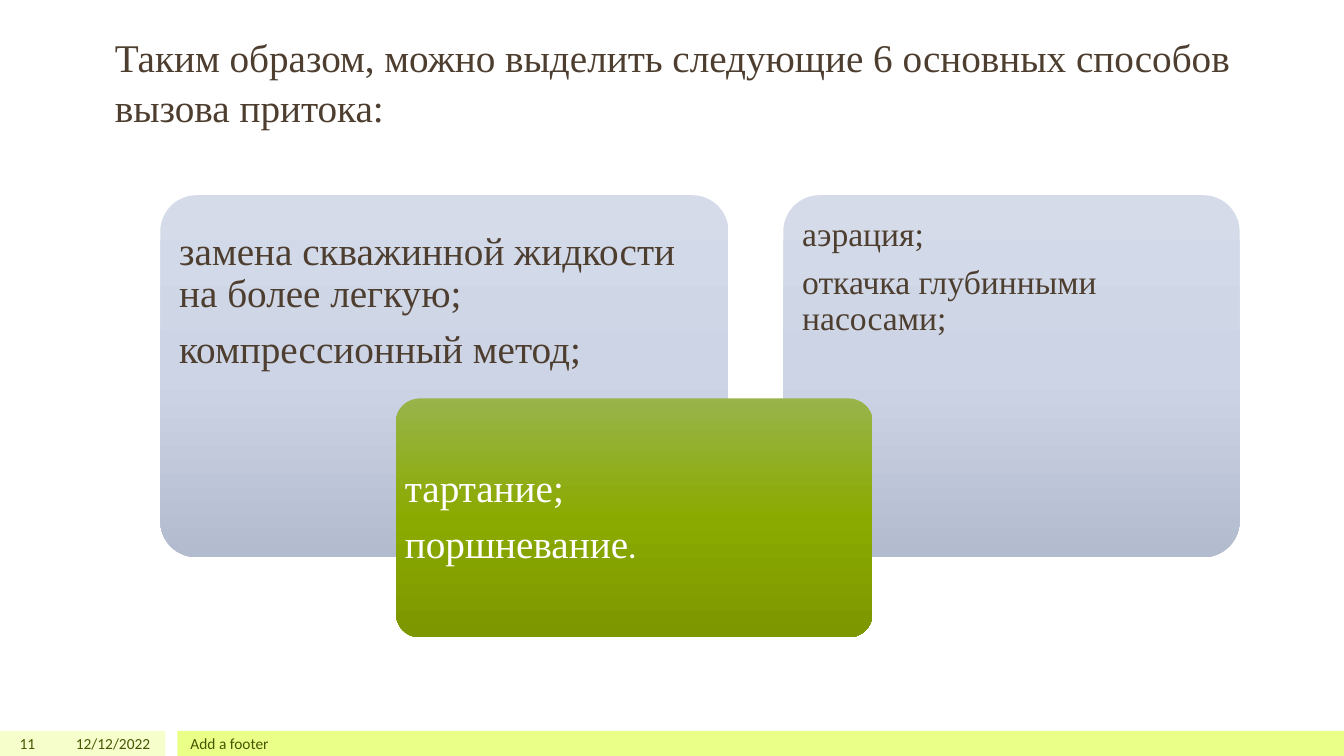
from copy import deepcopy
from dataclasses import dataclass

from pptx import Presentation
from pptx.dml.color import RGBColor
from pptx.enum.shapes import MSO_SHAPE
from pptx.enum.text import MSO_ANCHOR, MSO_AUTO_SIZE, PP_ALIGN
from pptx.oxml.ns import qn
from pptx.shapes.autoshape import Shape
from pptx.slide import Slide
from pptx.text.text import TextFrame, _Paragraph
from pptx.util import Cm, Pt


@dataclass(frozen=True)
class Theme:
    serif: str = "Times New Roman"
    sans: str = "Calibri"
    brown: str = "4D3E2F"
    white: str = "FFFFFF"
    olive: str = "455500"
    pale_lime: str = "F6FFCC"
    lime: str = "E9FF88"
    blue_gradient: tuple[str, ...] = ("D5DBE9", "CCD4E5", "B3BBCE")
    green_gradient: tuple[str, ...] = ("98B44B", "8BAA00", "7C9700")
    large: int = 28
    medium: int = 24
    small: int = 11


THEME = Theme()


@dataclass(frozen=True)
class Box:
    left: float
    top: float
    width: float
    height: float

    def lengths(self) -> tuple[Cm, ...]:
        return Cm(self.left), Cm(self.top), Cm(self.width), Cm(self.height)


@dataclass(frozen=True)
class TextRun:
    text: str
    size: int
    color: str
    font: str = THEME.serif


@dataclass(frozen=True)
class Card:
    box: Box
    gradient: tuple[str, ...]
    side_inset: float
    top_inset: float
    anchor: MSO_ANCHOR
    paragraphs: tuple[tuple[TextRun, ...], ...]


@dataclass(frozen=True)
class FooterText:
    box: Box
    text: str
    alignment: PP_ALIGN


BAR_TOP, BAR_HEIGHT = 18.42, 0.63
BARS = (
    (Box(0, BAR_TOP, 4.17, BAR_HEIGHT), THEME.pale_lime),
    (Box(4.47, BAR_TOP, 29.4, BAR_HEIGHT), THEME.lime),
)
FOOTER_TEXTS = (
    FooterText(Box(0, BAR_TOP, 1.14, BAR_HEIGHT), "11", PP_ALIGN.RIGHT),
    FooterText(Box(1.27, BAR_TOP, 2.77, BAR_HEIGHT), "12/12/2022", PP_ALIGN.RIGHT),
    FooterText(Box(4.55, BAR_TOP, 25.4, BAR_HEIGHT), "Add a footer", PP_ALIGN.LEFT),
)
TITLE = "Таким образом, можно выделить следующие 6 основных способов вызова притока:"
CARDS = (
    Card(
        Box(19.74, 4.92, 11.5, 9.12), THEME.blue_gradient, 0.21, 0.29, MSO_ANCHOR.TOP,
        (
            (TextRun("аэрация;", THEME.medium, THEME.brown),),
            (TextRun("откачка глубинными насосами;", THEME.medium, THEME.brown),),
        ),
    ),
    Card(
        Box(4.04, 4.92, 14.32, 9.12), THEME.blue_gradient, 0.21, 0.64, MSO_ANCHOR.TOP,
        (
            (TextRun("замена скважинной жидкости на более легкую;", THEME.large, THEME.brown),),
            (TextRun("компрессионный метод;", THEME.large, THEME.brown),),
        ),
    ),
    Card(
        Box(9.98, 10.04, 12.01, 6.02), THEME.green_gradient, 0.05, 0.05, MSO_ANCHOR.MIDDLE,
        (
            (TextRun("тартание;", THEME.large, THEME.white),),
            (
                TextRun("поршневание", THEME.large, THEME.white),
                TextRun(".", THEME.medium, THEME.white, THEME.sans),
            ),
        ),
    ),
)


def add_run(paragraph: _Paragraph, content: TextRun) -> None:
    run = paragraph.add_run()
    run.text = content.text
    run.font.name = content.font
    run.font.size = Pt(content.size)
    run.font.color.rgb = RGBColor.from_string(content.color)


def add_plain_shape(slide: Slide, kind: MSO_SHAPE, box: Box) -> Shape:
    shape = slide.shapes.add_shape(kind, *box.lengths())
    shape.shadow.inherit = False
    shape.line.fill.background()
    return shape


def add_bar(slide: Slide, box: Box, color: str) -> None:
    shape = add_plain_shape(slide, MSO_SHAPE.RECTANGLE, box)
    shape.fill.solid()
    shape.fill.fore_color.rgb = RGBColor.from_string(color)


def fill_gradient(shape: Shape, colors: tuple[str, ...]) -> None:
    shape.fill.gradient()
    shape.fill.gradient_angle = 270
    stop_list = shape.element.spPr.find(qn("a:gradFill")).find(qn("a:gsLst"))
    stop_list.insert(1, deepcopy(stop_list[0]))
    for index, (stop, color) in enumerate(zip(shape.fill.gradient_stops, colors)):
        stop.color.rgb = RGBColor.from_string(color)
        stop.position = index / (len(colors) - 1)


def set_insets(frame: TextFrame, side: float, top: float) -> None:
    frame.margin_left = frame.margin_right = Cm(side)
    frame.margin_top = frame.margin_bottom = Cm(top)


def add_card(slide: Slide, card: Card) -> None:
    shape = add_plain_shape(slide, MSO_SHAPE.ROUNDED_RECTANGLE, card.box)
    shape.adjustments[0] = 0.1
    fill_gradient(shape, card.gradient)
    frame = shape.text_frame
    frame.word_wrap = True
    frame.vertical_anchor = card.anchor
    set_insets(frame, card.side_inset, card.top_inset)
    for index, runs in enumerate(card.paragraphs):
        paragraph = frame.add_paragraph() if index else frame.paragraphs[0]
        paragraph.alignment = PP_ALIGN.LEFT
        paragraph.line_spacing = 0.9
        paragraph.space_after = Pt(0.35 * runs[0].size)
        for content in runs:
            add_run(paragraph, content)


def add_footer_text(slide: Slide, footer: FooterText) -> None:
    frame = slide.shapes.add_textbox(*footer.box.lengths()).text_frame
    frame.word_wrap = True
    frame.vertical_anchor = MSO_ANCHOR.MIDDLE
    paragraph = frame.paragraphs[0]
    paragraph.alignment = footer.alignment
    add_run(paragraph, TextRun(footer.text, THEME.small, THEME.olive, THEME.sans))


def format_title(slide: Slide, box: Box) -> None:
    title = slide.shapes.title
    title.left, title.top, title.width, title.height = box.lengths()
    frame = title.text_frame
    frame.word_wrap = True
    frame.auto_size = MSO_AUTO_SIZE.NONE
    frame.vertical_anchor = MSO_ANCHOR.TOP
    paragraph = frame.paragraphs[0]
    paragraph.alignment = PP_ALIGN.LEFT
    paragraph.line_spacing = 1.05
    add_run(paragraph, TextRun(TITLE, THEME.large, THEME.brown))


def main() -> None:
    presentation = Presentation()
    presentation.slide_width, presentation.slide_height = Cm(33.87), Cm(19.05)
    slide = presentation.slides.add_slide(presentation.slide_layouts.get_by_name("Title Only"))
    format_title(slide, Box(2.64, 0.66, 29.24, 2.64))
    for box, color in BARS:
        add_bar(slide, box, color)
    for card in CARDS:
        add_card(slide, card)
    for footer in FOOTER_TEXTS:
        add_footer_text(slide, footer)
    presentation.save("out.pptx")


if __name__ == "__main__":
    main()
